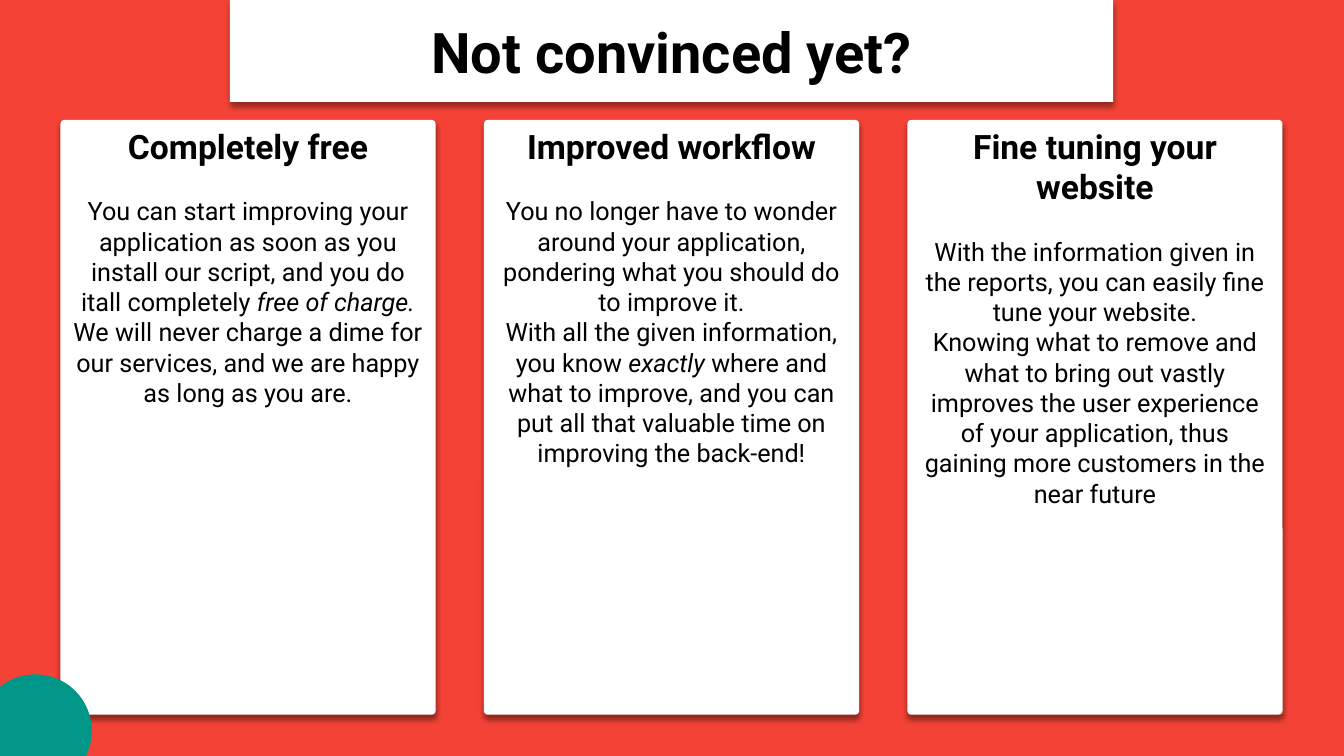
from lxml.etree import SubElement
from pptx import Presentation
from pptx.dml.color import RGBColor
from pptx.enum.shapes import MSO_SHAPE
from pptx.enum.text import MSO_ANCHOR, MSO_AUTO_SIZE, PP_ALIGN
from pptx.oxml.ns import qn
from pptx.util import Inches, Pt

RED, WHITE, BLACK, TEAL = "F44336", "FFFFFF", "000000", "009688"

CARDS = [
    ("Completely free", [
        "You can start improving your application as soon as you install our "
        "script, and you do itall completely *free of charge. *We will never "
        "charge a dime for our services, and we are happy as long as you are."]),
    ("Improved workflow", [
        "You no longer have to wonder around your application, pondering what "
        "you should do to improve it.",
        "With all the given information, you know *exactly *where and what to "
        "improve, and you can put all that valuable time on improving the "
        "back-end!"]),
    ("Fine tuning your website", [
        "With the information given in the reports, you can easily fine tune "
        "your website.",
        "Knowing what to remove and what to bring out vastly improves the user "
        "experience of your application, thus gaining more customers in the "
        "near future"]),
]


def color(code):
    """Turn a hex string into a colour."""
    return RGBColor.from_string(code)


class Deck:
    """Hold the style and the current slide."""

    font = "Roboto"

    def __init__(self, slide):
        """Start on a slide with a red background."""
        self.slide = slide
        fill = slide.background.fill
        fill.solid()
        fill.fore_color.rgb = color(RED)

    def paint(self, shape, code):
        """Give a shape a plain fill with no line or shadow."""
        shape.fill.solid()
        shape.fill.fore_color.rgb = color(code)
        shape.line.fill.background()
        shape.shadow.inherit = False

    def shade(self, shape):
        """Add a soft shadow below a painted shape."""
        effects = shape._element.spPr.find(qn("a:effectLst"))
        outer = SubElement(effects, qn("a:outerShdw"), blurRad=str(Pt(4)),
                           dist=str(Pt(3)), dir="5400000", algn="t",
                           rotWithShape="0")
        tint = SubElement(outer, qn("a:srgbClr"), val=BLACK)
        SubElement(tint, qn("a:alpha"), val="40000")

    def label(self, para, text, size, bold=False):
        """Fill a centred paragraph; text between stars is italic."""
        para.alignment = PP_ALIGN.CENTER
        for i, part in enumerate(text.split("*")):
            run = para.add_run()
            run.text = part
            font = run.font
            font.name, font.size = self.font, Pt(size)
            font.bold, font.italic = bold, i % 2 == 1
            font.color.rgb = color(BLACK)

    def title(self, text, left, top, width, height):
        """Place the title on a white banner."""
        shape = self.slide.shapes.title
        shape.left, shape.top = Inches(left), Inches(top)
        shape.width, shape.height = Inches(width), Inches(height)
        self.paint(shape, WHITE)
        self.shade(shape)
        frame = shape.text_frame
        frame.auto_size = MSO_AUTO_SIZE.NONE
        frame.vertical_anchor = MSO_ANCHOR.MIDDLE
        self.label(frame.paragraphs[0], text, 40, bold=True)

    def shape(self, kind, code, left, top, width, height):
        """Add a plain preset shape."""
        shape = self.slide.shapes.add_shape(
            kind, Inches(left), Inches(top), Inches(width), Inches(height))
        self.paint(shape, code)
        return shape

    def card(self, head, body, left, top, width, height):
        """Add a white card with a heading above body paragraphs."""
        shape = self.shape(MSO_SHAPE.ROUNDED_RECTANGLE, WHITE,
                           left, top, width, height)
        shape.adjustments[0] = 0.01
        self.shade(shape)
        frame = shape.text_frame
        frame.word_wrap = True
        frame.vertical_anchor = MSO_ANCHOR.TOP
        self.label(frame.paragraphs[0], head, 24, bold=True)
        for i, text in enumerate(body):
            para = frame.add_paragraph()
            para.space_before = Pt(0 if i else 21)
            self.label(para, text, 18)


def main():
    """Build and save the slide."""
    show = Presentation()
    show.slide_width, show.slide_height = Inches(13.33), Inches(7.5)
    deck = Deck(show.slides.add_slide(show.slide_layouts[5]))
    deck.title("Not convinced yet?", 2.28, 0, 8.76, 1.01)
    left, step = 0.6, 4.2
    for i, (head, body) in enumerate(CARDS):
        deck.card(head, body, left + i * step, 1.19, 3.72, 5.9)
    deck.shape(MSO_SHAPE.OVAL, TEAL, -0.21, 6.69, 1.12, 1.12)
    show.save("out.pptx")


main()
